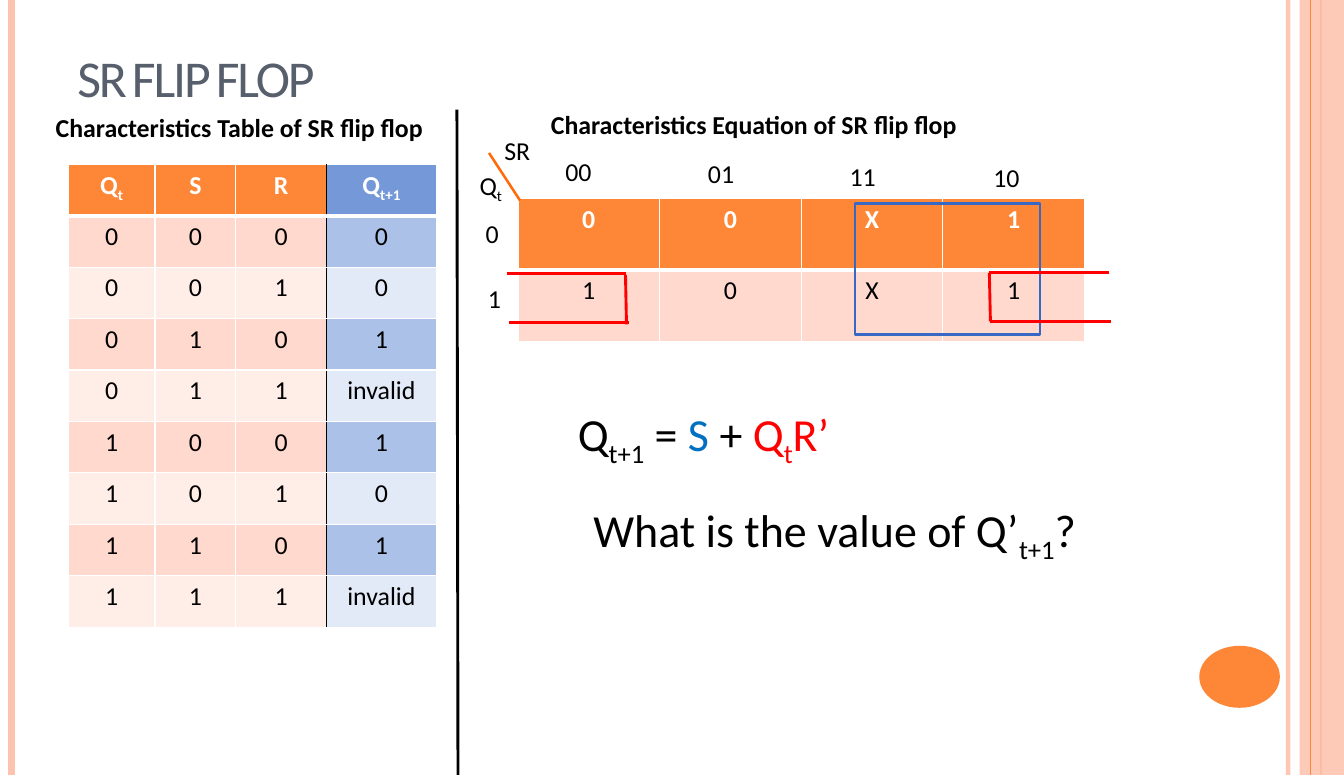
from itertools import product

from lxml.etree import SubElement
from pptx import Presentation
from pptx.dml.color import RGBColor
from pptx.enum.shapes import MSO_CONNECTOR, MSO_SHAPE
from pptx.enum.text import MSO_ANCHOR, MSO_AUTO_SIZE, PP_ALIGN
from pptx.oxml.ns import qn
from pptx.util import Pt

PX = 9144
COLORS = {
    "white": "FFFFFF", "black": "000000", "slate": "575F6D",
    "peach": "FEC3AE", "orange": "FE8637", "deep orange": "FF6B0A",
    "blue": "3668C4", "sky": "0070C0", "red": "FF0000",
}
PALETTES = {
    "input": ("FE8637", "FFD9CE", "FFEDE8"),
    "next state": ("7598D9", "ACC1E8", "E3EAF7"),
}


def write(frame, text, size=18, color="black", bold=False, align=PP_ALIGN.LEFT,
          spacing=0, small_caps=False):
    paragraph = frame.paragraphs[0]
    paragraph.alignment = align
    for position, part in enumerate(text.split("|")):
        if not part:
            continue
        run = paragraph.add_run()
        run.text = part
        run.font.name = "Calibri"
        run.font.size = Pt(size)
        run.font.bold = bold
        run.font.color.rgb = RGBColor.from_string(COLORS[color])
        properties = run._r.get_or_add_rPr()
        if position % 2:
            properties.set("baseline", "-25000")
        if spacing:
            properties.set("spc", str(spacing))
        if small_caps:
            properties.set("cap", "small")


def draw_line(x1, y1, x2, y2, color, width, alpha=100):
    line = slide.shapes.add_connector(
        MSO_CONNECTOR.STRAIGHT, x1 * PX, y1 * PX, x2 * PX, y2 * PX)
    line.line.width = Pt(width)
    line.line.color.rgb = RGBColor.from_string(COLORS[color])
    if alpha < 100:
        shade = line._element.spPr.find(".//" + qn("a:srgbClr"))
        SubElement(shade, qn("a:alpha"), val=str(alpha * 1000))
    SubElement(line._element.spPr, qn("a:effectLst"))


presentation = Presentation()
presentation.slide_width = 1300 * PX
presentation.slide_height = 750 * PX
slide = presentation.slides.add_slide(presentation.slide_layouts[6])

draw_line(1246, 0, 1246, 750, "peach", 3, alpha=93)
draw_line(11, 0, 11, 750, "peach", 4.5)
draw_line(1278, 0, 1278, 750, "orange", 1.5)

side_band = slide.shapes.add_shape(MSO_SHAPE.RECTANGLE, 1257 * PX, 0, 43 * PX, 750 * PX)
side_band.shadow.inherit = False
side_band.fill.solid()
side_band.fill.fore_color.rgb = RGBColor.from_string(COLORS["peach"])
side_band.line.fill.background()
band_shade = side_band._element.spPr.find(".//" + qn("a:srgbClr"))
SubElement(band_shade, qn("a:alpha"), val="87000")

draw_line(1268, 0, 1268, 750, "orange", 0.75)

page_badge = slide.shapes.add_shape(MSO_SHAPE.OVAL, 1160 * PX, 625 * PX, 78 * PX, 60 * PX)
page_badge.shadow.inherit = False
page_badge.fill.solid()
page_badge.fill.fore_color.rgb = RGBColor.from_string(COLORS["orange"])
page_badge.line.fill.background()

title = slide.shapes.add_textbox(65 * PX, 30 * PX, 1094 * PX, 79 * PX).text_frame
title.word_wrap = True
title.vertical_anchor = MSO_ANCHOR.BOTTOM
write(title, "SR FLIP FLOP", size=36, color="slate", spacing=-150, small_caps=True)

truth_rows = [["Q|t", "S", "R", "Q|t+1"]]
for q, s, r in product("01", repeat=3):
    if s == r == "1":
        next_q = "invalid"
    else:
        next_q = "1" if s == "1" or (q == "1" and r == "0") else "0"
    truth_rows.append([q, s, r, next_q])
karnaugh_rows = ["00X1", "10X1"]

for left, top, height, widths, groups, rows in [
    (66, 159, 448, [84, 78, 88, 106], ["input"] * 3 + ["next state"], truth_rows),
    (501, 192, 139, [137] * 4, ["input"] * 4, karnaugh_rows),
]:
    table = slide.shapes.add_table(
        len(rows), len(widths), left * PX, top * PX, sum(widths) * PX, height * PX).table
    table.horz_banding = False
    for column, width in zip(table.columns, widths):
        column.width = width * PX
    for row, values in enumerate(rows):
        for column, value in enumerate(values):
            cell = table.cell(row, column)
            group = groups[column]
            header = row == 0
            write(cell.text_frame, value, color="white" if header else "black",
                  bold=header, align=PP_ALIGN.CENTER)
            starts_group = column > 0 and groups[column - 1] != group
            ends_group = column < len(groups) - 1 and groups[column + 1] != group
            for side, color, weight in [
                ("L", "black" if starts_group else "white", 1),
                ("R", "black" if ends_group else "white", 1),
                ("T", "white", 3 if row == 1 else 1),
                ("B", "white", 3 if header else 1),
            ]:
                border = SubElement(cell._tc.get_or_add_tcPr(), qn("a:ln" + side),
                                    w=str(Pt(weight)))
                border_fill = SubElement(border, qn("a:solidFill"))
                SubElement(border_fill, qn("a:srgbClr"), val=COLORS[color])
            shade_index = 0 if header else 2 - row % 2
            cell.fill.solid()
            cell.fill.fore_color.rgb = RGBColor.from_string(PALETTES[group][shade_index])

draw_line(442, 106, 443, 750, "black", 2)
draw_line(503, 194, 473, 148, "deep orange", 1.75)

for left, top, width, height, size, bold, parts in [
    (44, 103, 391, 40, 18, True, [("Characteristics Table of SR flip flop", "black")]),
    (523, 100, 425, 40, 18, True, [("Characteristics Equation of SR flip flop", "black")]),
    (537, 146, 54, 40, 18, False, [("00", "black")]),
    (675, 148, 54, 40, 18, False, [("01", "black")]),
    (812, 151, 54, 40, 18, False, [("11", "black")]),
    (951, 152, 54, 40, 18, False, [("10", "black")]),
    (460, 206, 36, 40, 18, False, [("0", "black")]),
    (462, 269, 36, 40, 18, False, [("1", "black")]),
    (454, 159, 52, 40, 18, False, [("Q|t", "black")]),
    (478, 125, 52, 40, 18, False, [("SR", "black")]),
    (549, 388, 442, 64, 32, False,
     [("Q|t+1| =", "black"), (" S", "sky"), (" + ", "black"), ("Q|t|R’", "red")]),
    (564, 481, 528, 64, 32, False, [("What is the value of Q’|t+1|?", "black")]),
]:
    label = slide.shapes.add_textbox(left * PX, top * PX, width * PX, height * PX).text_frame
    label.word_wrap = True
    label.auto_size = MSO_AUTO_SIZE.SHAPE_TO_FIT_TEXT
    for text, color in parts:
        write(label, text, size=size, color=color, bold=bold)

set_group = slide.shapes.add_shape(MSO_SHAPE.RECTANGLE, 827 * PX, 197 * PX, 179 * PX, 127 * PX)
set_group.shadow.inherit = False
set_group.fill.background()
set_group.line.color.rgb = RGBColor.from_string(COLORS["blue"])
set_group.line.width = Pt(2)

for hold_edge in [
    (957, 264, 1073, 264), (958, 311, 1075, 311), (957, 264, 958, 311),
    (490, 265, 606, 265), (492, 312, 608, 312), (605, 266, 606, 314),
]:
    draw_line(*hold_edge, "red", 2)

presentation.save("out.pptx")
